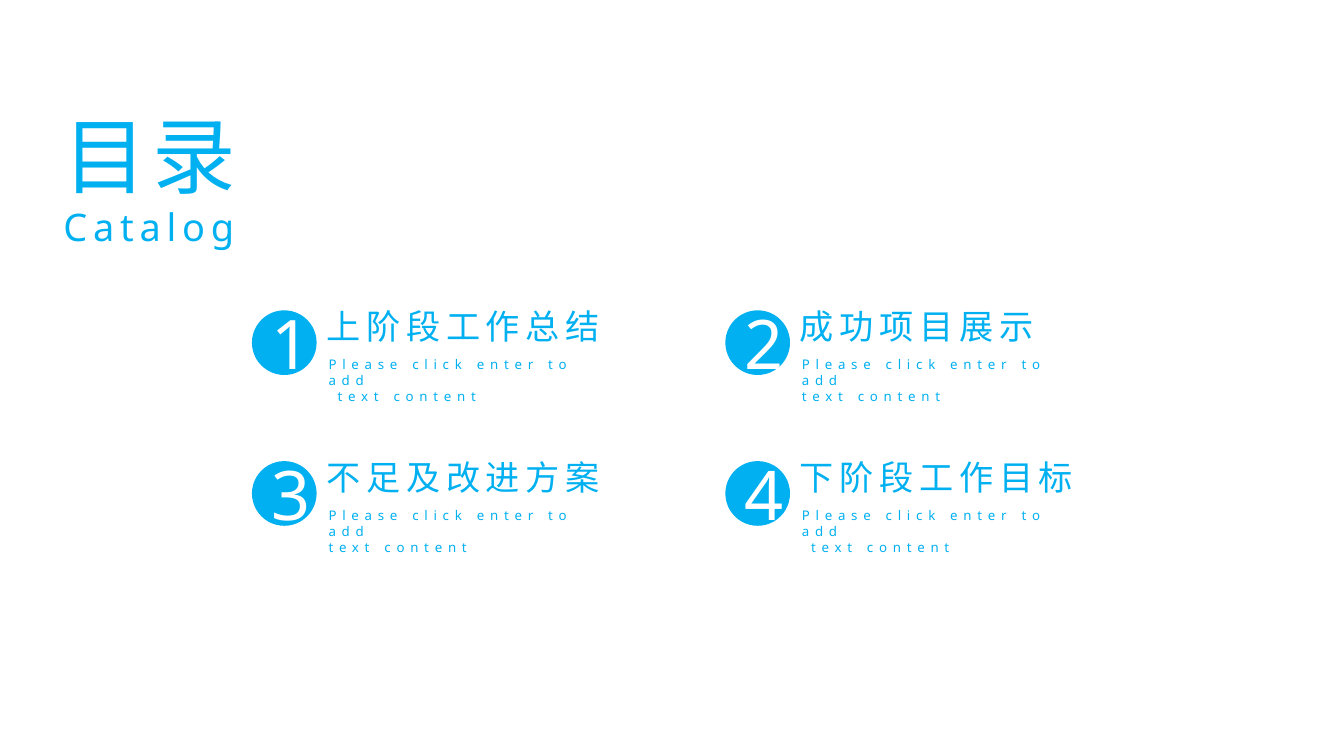
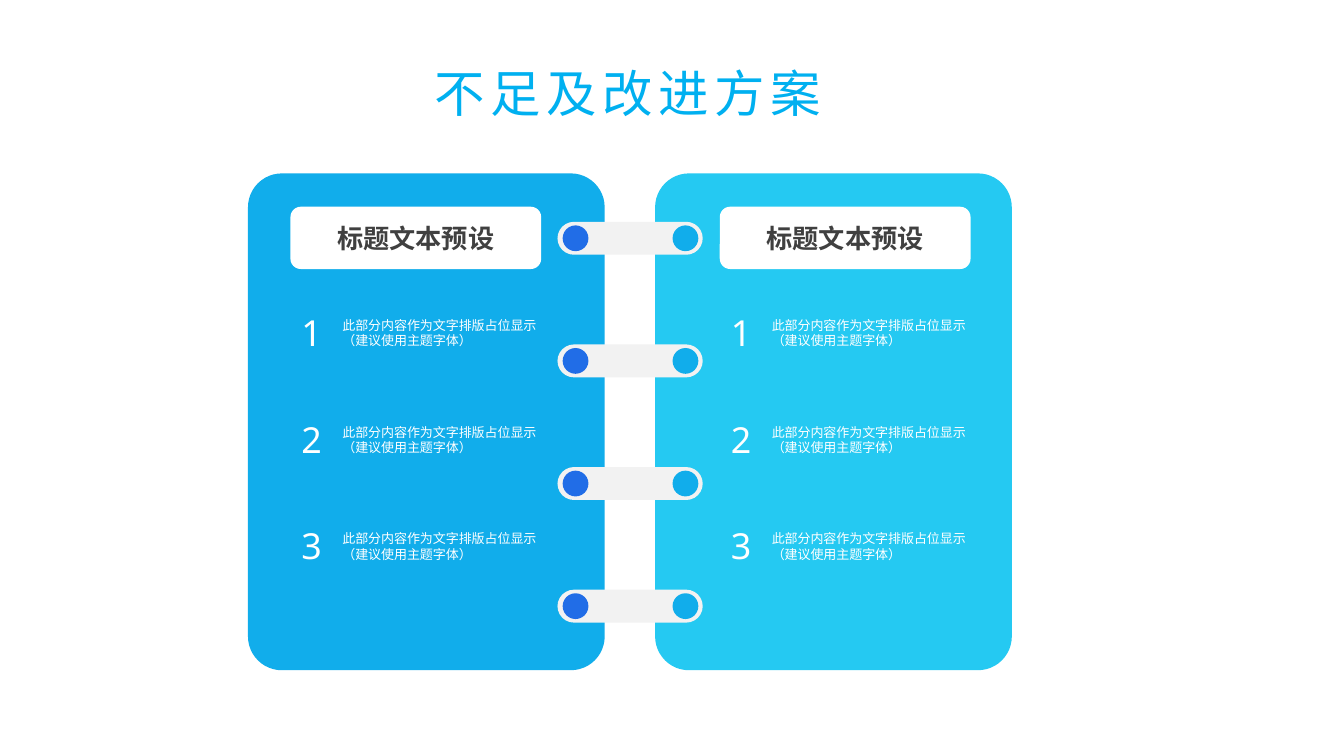
from dataclasses import dataclass
from itertools import product

from lxml import etree
from pptx import Presentation
from pptx.dml.color import RGBColor
from pptx.enum.shapes import MSO_SHAPE
from pptx.enum.text import MSO_ANCHOR, PP_ALIGN
from pptx.oxml.ns import qn
from pptx.util import Cm, Pt

ELLIPSE = MSO_SHAPE.OVAL
ROUNDED = MSO_SHAPE.ROUNDED_RECTANGLE
LEFT, CENTER = PP_ALIGN.LEFT, PP_ALIGN.CENTER
TOP, MIDDLE = MSO_ANCHOR.TOP, MSO_ANCHOR.MIDDLE


@dataclass(frozen=True)
class TextStyle:
    size: float
    color: str
    spacing: float = 0
    bold: bool = False


@dataclass(frozen=True)
class Theme:
    font: str = "Noto Sans"
    accent: str = "00B0F0"
    white: str = "FFFFFF"
    left_page: str = "11ADEB"
    right_page: str = "25C9F2"
    ring: str = "F2F2F2"
    left_hole: str = "216DE7"
    catalog: TextStyle = TextStyle(59.6, accent, 4.1)
    catalog_english: TextStyle = TextStyle(27.1, accent, 4.1)
    title: TextStyle = TextStyle(36, accent, 4.1)
    heading: TextStyle = TextStyle(24.4, accent, 4.1)
    hint: TextStyle = TextStyle(9.5, accent, 4.1)
    badge: TextStyle = TextStyle(48.8, white)
    label: TextStyle = TextStyle(18.7, "404040", bold=True)
    number: TextStyle = TextStyle(25.6, white)
    body: TextStyle = TextStyle(9.3, white)


THEME = Theme()

# Heading and indent (cm) of the second hint line
CHAPTERS = [
    ("上阶段工作总结", 0.23),
    ("成功项目展示", 0),
    ("不足及改进方案", 0),
    ("下阶段工作目标", 0.23),
]
HINT_LINES = ("Please click enter to add", "text content")
POINT_LINES = ("此部分内容作为文字排版占位显示", "（建议使用主题字体）")


def add_run(paragraph, text, style):
    run = paragraph.add_run()
    run.text = text
    font = run.font
    font.name, font.size, font.bold = THEME.font, Pt(style.size), style.bold
    font.color.rgb = RGBColor.from_string(style.color)
    properties = run._r.get_or_add_rPr()
    if style.spacing:
        properties.set("spc", str(round(style.spacing * 100)))
    etree.SubElement(properties, qn("a:ea")).set("typeface", THEME.font)


def write_paragraphs(frame, items, align=LEFT):
    """Write (text, style) pairs, one paragraph each."""
    for index, (text, style) in enumerate(items):
        paragraph = frame.add_paragraph() if index else frame.paragraphs[0]
        paragraph.alignment = align
        add_run(paragraph, text, style)


def add_text(slide, left, top, width, height, items, align=LEFT, anchor=TOP, wrap=True):
    box = slide.shapes.add_textbox(Cm(left), Cm(top), Cm(width), Cm(height))
    frame = box.text_frame
    frame.word_wrap = wrap
    frame.vertical_anchor = anchor
    write_paragraphs(frame, items, align)
    return frame


def add_shape(slide, kind, left, top, width, height, color, corner=None):
    shape = slide.shapes.add_shape(kind, Cm(left), Cm(top), Cm(width), Cm(height))
    shape.shadow.inherit = False
    shape.fill.solid()
    shape.fill.fore_color.rgb = RGBColor.from_string(color)
    shape.line.fill.background()
    if corner is not None:
        shape.adjustments[0] = corner
    return shape


def add_chapter(slide, left, top, number, heading, indent):
    """Numbered circle with a heading and a two-line hint."""
    diameter = 1.63
    circle = add_shape(slide, ELLIPSE, left, top, diameter, diameter, THEME.accent)
    write_paragraphs(circle.text_frame, [(str(number), THEME.badge)], CENTER)
    add_text(slide, left + diameter, top - 0.25, 0.5 + 1.02 * len(heading), 1.3,
             [(heading, THEME.heading)])
    hint = add_text(slide, left + 1.68, top + 1.04, 7.44, 1.07,
                    [(line, THEME.hint) for line in HINT_LINES])
    if indent:
        hint.paragraphs[1]._p.get_or_add_pPr().set("marL", str(Cm(indent)))


def add_ring(slide, top):
    """Binder ring with a hole on each page."""
    add_shape(slide, ROUNDED, 14.05, top, 3.66, 0.83, THEME.ring, 0.5)
    for left, color in ((14.18, THEME.left_hole), (16.95, THEME.left_page)):
        add_shape(slide, ELLIPSE, left, top + 0.09, 0.65, 0.65, color)


def add_point(slide, left, top, number):
    """Number beside a two-line description."""
    digit = add_text(slide, left, top, 1.07, 1.24, [(str(number), THEME.number)],
                     CENTER, MIDDLE, wrap=False)
    digit.paragraphs[0].line_spacing = 0.8
    first, second = POINT_LINES
    frame = add_text(slide, left + 1.06, top + 0.02, 5.54, 1.17, [(first, THEME.body)])
    paragraph = frame.paragraphs[0]
    paragraph.add_line_break()
    add_run(paragraph, second, THEME.body)


def add_page_content(slide, left):
    label = add_shape(slide, ROUNDED, left, 5.21, 6.32, 1.57, THEME.white)
    label.text_frame.word_wrap = False
    write_paragraphs(label.text_frame, [("标题文本预设", THEME.label)], CENTER)
    for row in range(3):
        add_point(slide, left, 7.85 + 2.69 * row, row + 1)


def build_catalog(slide):
    add_text(slide, 1.35, 2.49, 8.99, 4.6,
             [("目录", THEME.catalog), ("Catalog", THEME.catalog_english)])
    # Two by two grid of chapters
    cells = product(range(2), range(2))
    for number, ((row, column), chapter) in enumerate(zip(cells, CHAPTERS), 1):
        add_chapter(slide, 6.35 + 11.93 * column, 7.82 + 3.8 * row, number, *chapter)


def build_notebook(slide):
    # Pages, then the rings that bind them
    for left, color in ((6.25, THEME.left_page), (16.51, THEME.right_page)):
        add_shape(slide, ROUNDED, left, 4.37, 8.99, 12.52, color, 0.095)
    for index in range(4):
        add_ring(slide, 5.59 + 3.09 * index)
    for left in (7.32, 18.14):
        add_page_content(slide, left)
    add_text(slide, 10.69, 1.45, 13.13, 1.8, [("不足及改进方案", THEME.title)])


def main():
    presentation = Presentation()
    presentation.slide_width = Cm(33.87)
    presentation.slide_height = Cm(19.05)
    blank = presentation.slide_layouts[6]
    for build in (build_catalog, build_notebook):
        build(presentation.slides.add_slide(blank))
    presentation.save("out.pptx")


if __name__ == "__main__":
    main()
